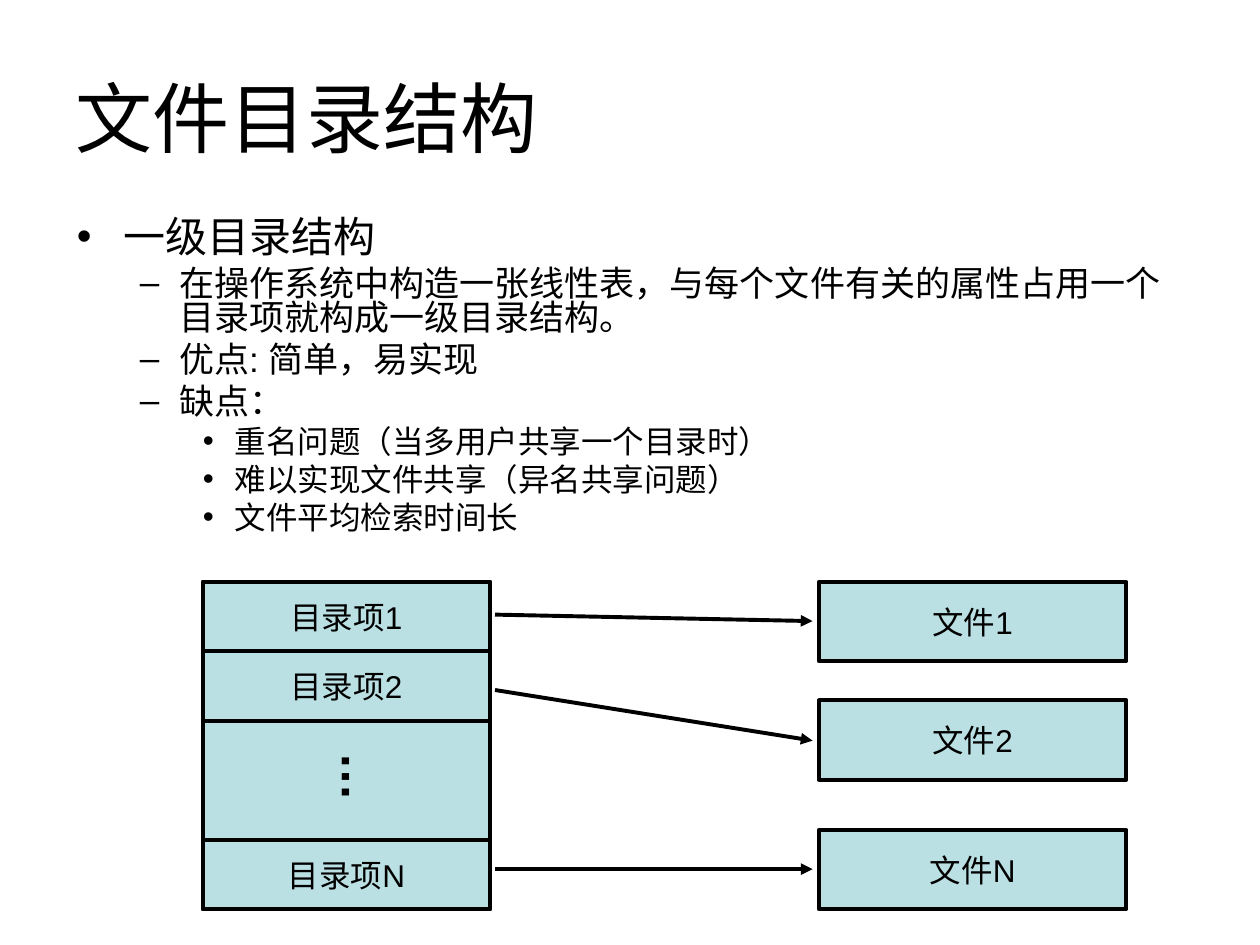
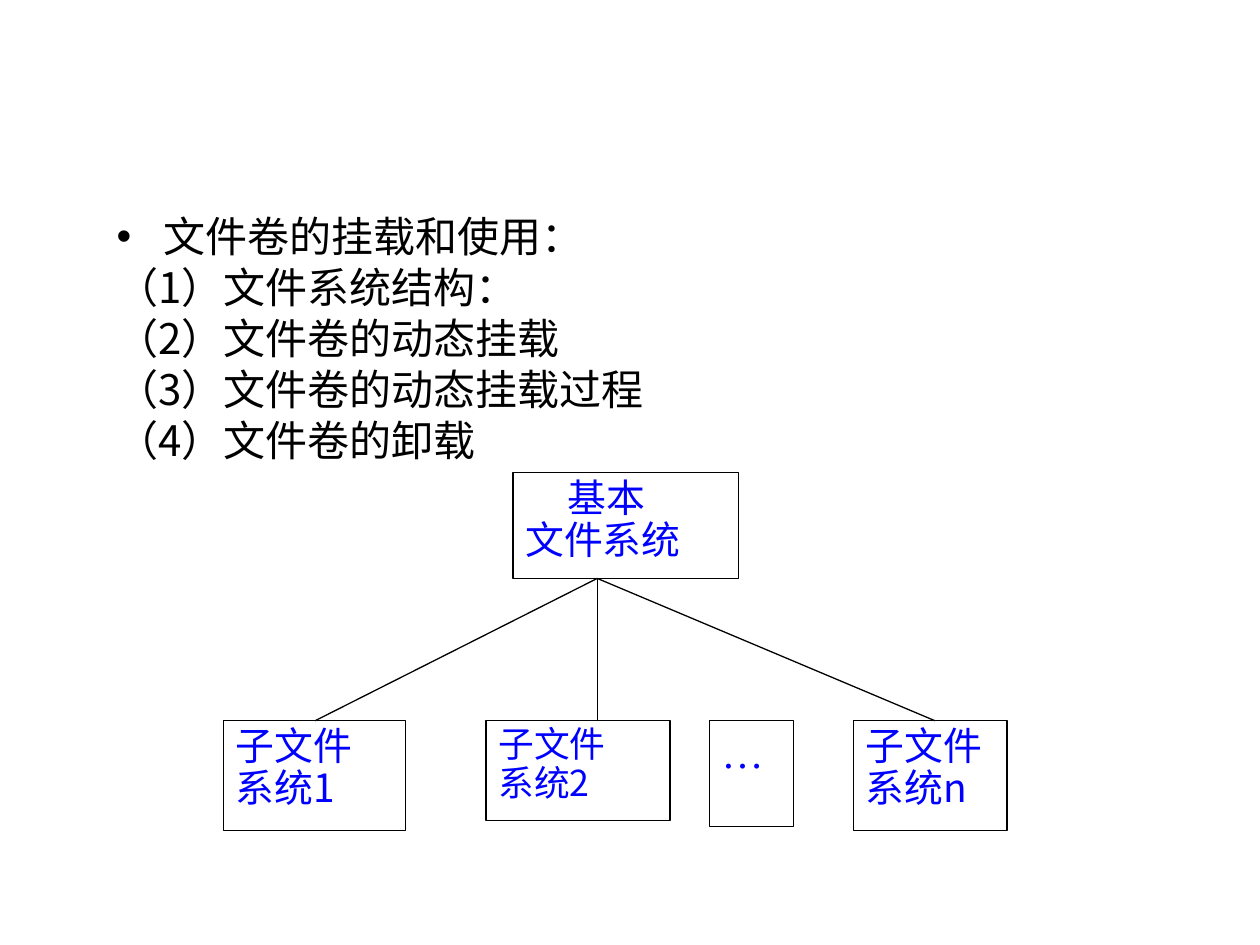
from lxml import etree
from pptx import Presentation
from pptx.dml.color import RGBColor
from pptx.enum.shapes import MSO_CONNECTOR, MSO_SHAPE
from pptx.enum.text import MSO_ANCHOR, MSO_AUTO_SIZE, PP_ALIGN
from pptx.oxml.ns import qn
from pptx.util import Cm, Pt

RECTANGLE = MSO_SHAPE.RECTANGLE
STRAIGHT = MSO_CONNECTOR.STRAIGHT
TOP, MIDDLE = MSO_ANCHOR.TOP, MSO_ANCHOR.MIDDLE
LEFT, CENTER = PP_ALIGN.LEFT, PP_ALIGN.CENTER
GROW = MSO_AUTO_SIZE.SHAPE_TO_FIT_TEXT

COLORS = {"text": "000000", "line": "000000", "entry": "BBE0E3", "paper": "FFFFFF", "node": "0000FF"}
LATIN, CHINESE, NODE_FONT, DOTS_FONT = "Arial", "Noto Sans CJK SC", "Noto Sans CJK JP", "Times New Roman"
LEVELS = [
    {"size": 24, "margin": 0.95, "hanging": 0.95, "bullet": "•", "before": 6},
    {"size": 20, "margin": 2.06, "hanging": 0.79, "bullet": "–", "before": 5},
    {"size": 18, "margin": 3.18, "hanging": 0.64, "bullet": "•", "before": 4.5},
]
NUMBERED = {**LEVELS[0], "bullet": None}


def color(name):
    """Return the named palette colour."""
    return RGBColor.from_string(COLORS[name])


def set_paragraph_layout(paragraph, margin, hanging, bullet):
    """Set the left margin, hanging indent and bullet of a paragraph."""
    properties = paragraph._p.get_or_add_pPr()
    properties.set("marL", str(Cm(margin)))
    properties.set("indent", str(-Cm(hanging)))
    if bullet:
        etree.SubElement(properties, qn("a:buFont")).set("typeface", LATIN)
        etree.SubElement(properties, qn("a:buChar")).set("char", bullet)
    else:
        etree.SubElement(properties, qn("a:buNone"))


def add_text(frame, text, size=18, font=LATIN, east_asian=CHINESE, ink="text", bold=False,
             align=LEFT, spacing=1.0, before=0, margin=0, hanging=0, bullet=None):
    """Write one paragraph, using the empty first paragraph when there is one."""
    first = not frame.paragraphs[0].runs
    paragraph = frame.paragraphs[0] if first else frame.add_paragraph()
    set_paragraph_layout(paragraph, margin, hanging, bullet)
    paragraph.alignment = align
    paragraph.line_spacing = spacing
    paragraph.space_before = Pt(0 if first else before)
    run = paragraph.add_run()
    run.text = text
    run.font.size = Pt(size)
    run.font.name = font
    run.font.bold = bold
    run.font.color.rgb = color(ink)
    etree.SubElement(run._r.get_or_add_rPr(), qn("a:ea")).set("typeface", east_asian)


def add_text_box(slide, box, anchor=TOP):
    """Add a wrapping text box and return its frame."""
    frame = slide.shapes.add_textbox(*map(Cm, box)).text_frame
    frame.word_wrap = True
    frame.vertical_anchor = anchor
    return frame


def add_rectangle(slide, box, fill, weight, anchor=TOP, wrap=True):
    """Add an outlined rectangle and return its text frame."""
    shape = slide.shapes.add_shape(RECTANGLE, *map(Cm, box))
    shape.shadow.inherit = False
    shape.fill.solid()
    shape.fill.fore_color.rgb = color(fill)
    shape.line.color.rgb = color("line")
    shape.line.width = Pt(weight)
    shape.text_frame.word_wrap = wrap
    shape.text_frame.vertical_anchor = anchor
    return shape.text_frame


def add_line(slide, start, end, weight, arrow=False):
    """Draw a straight line, with an arrowhead at its end if asked."""
    connector = slide.shapes.add_connector(STRAIGHT, *map(Cm, (*start, *end)))
    connector.line.color.rgb = color("line")
    connector.line.width = Pt(weight)
    if arrow:
        etree.SubElement(connector.line._get_or_add_ln(), qn("a:tailEnd")).set("type", "triangle")
    etree.SubElement(connector._element.spPr, qn("a:effectLst"))


def add_title(slide, text, box):
    """Add the slide title."""
    add_text(add_text_box(slide, box, MIDDLE), text, size=44)


def add_body(slide, box, items, font=LATIN):
    """Add an outline of (format, text) items."""
    frame = add_text_box(slide, box)
    for style, text in items:
        add_text(frame, text, font=font, spacing=0.8, **style)


def add_labelled_box(slide, box, label):
    """Add a directory entry or file box with a centred label."""
    add_text(add_rectangle(slide, box, "entry", 2.25, MIDDLE, False), label, align=CENTER)


def add_directory_diagram(slide, box):
    """Draw the directory table on the left, the files on the right and the arrows between."""
    left, top, width, height = box
    table_width, entry_height, file_width, file_height = 5.79, 1.4, 6.2, 1.6
    file_left = left + width - file_width
    add_rectangle(slide, (left, top, table_width, height), "entry", 2.25)
    rows = [
        ("1", 0, 0, 0.66, 0.79),
        ("2", entry_height, 2.39, 2.18, 3.2),
        ("N", height - entry_height, height - file_height, 5.79, 5.79),
    ]
    for number, entry_top, file_top, arrow_start, arrow_end in rows:
        add_labelled_box(slide, (left, top + entry_top, table_width, entry_height), f"目录项{number}")
        add_labelled_box(slide, (file_left, top + file_top, file_width, file_height), f"文件{number}")
        add_line(slide, (left + table_width + 0.1, top + arrow_start),
                 (file_left - 0.13, top + arrow_end), 2.25, arrow=True)
    dots = add_text_box(slide, (left + 2.24, top + 3.2, 1.68, 1.8))
    dots.margin_left = dots.margin_right = Cm(0.13)
    dots.margin_top = dots.margin_bottom = Cm(0.25)
    dots.auto_size = GROW
    dots._txBody.bodyPr.set("vert", "eaVert")
    add_text(dots, "…", size=28, bold=True, align=CENTER)


def add_node(slide, box, lines, size=22.2, first_margin=0):
    """Add a file system node of two lines."""
    frame = add_rectangle(slide, box, "paper", 0.75)
    for margin, line in zip((first_margin, 0), lines):
        add_text(frame, line, size=size, font=NODE_FONT, east_asian=NODE_FONT,
                 ink="node", spacing=0.9, margin=margin)


def add_file_system_tree(slide, box):
    """Draw the base file system above its child file systems."""
    left, top, width, height = box
    root_height, child_top = 2.13, top + 5
    junction = (left + 7.54, top + root_height)
    add_node(slide, (left + 5.84, top, 4.55, root_height), ("基本", "文件系统"), first_margin=0.86)
    children = [
        ("1", 0, 3.68, 2.21, 22.2, 1.85),
        ("2", 5.3, 3.71, 2.01, 20.4, 7.54),
        ("n", width - 3.1, 3.1, 2.21, 22.2, 14.35),
    ]
    for number, offset, child_width, child_height, size, line_end in children:
        add_node(slide, (left + offset, child_top, child_width, child_height),
                 ("子文件", f"系统{number}"), size)
        add_line(slide, junction, (left + line_end, child_top), 0.75)
    dots = add_rectangle(slide, (left + 9.8, child_top, 1.7, 2.13), "paper", 0.75)
    add_text(dots, "…", size=24, font=DOTS_FONT, ink="node")


def build_directory_slide(slide):
    """Build the slide on the one-level directory structure."""
    add_title(slide, "文件目录结构", (1.27, 0.76, 22.86, 3.18))
    add_body(slide, (1.3, 4.32, 22.86, 7.01), [
        (LEVELS[0], "一级目录结构"),
        (LEVELS[1], "在操作系统中构造一张线性表，与每个文件有关的属性占用一个目录项就构成一级目录结构。"),
        (LEVELS[1], "优点: 简单，易实现"),
        (LEVELS[1], "缺点："),
        (LEVELS[2], "重名问题（当多用户共享一个目录时）"),
        (LEVELS[2], "难以实现文件共享（异名共享问题）"),
        (LEVELS[2], "文件平均检索时间长"),
    ])
    add_directory_diagram(slide, (4.09, 11.73, 18.62, 6.6))


def build_volume_slide(slide):
    """Build the slide on mounting and using file volumes."""
    topics = ["文件系统结构：", "文件卷的动态挂载", "文件卷的动态挂载过程", "文件卷的卸载"]
    steps = [(NUMBERED, f"（{number}）{topic}") for number, topic in enumerate(topics, 1)]
    add_body(slide, (2.1, 4.32, 21.59, 12.8), [(LEVELS[0], "文件卷的挂载和使用："), *steps], CHINESE)
    add_file_system_tree(slide, (4.5, 9.53, 15.8, 7.21))


def main():
    """Build and save the presentation."""
    presentation = Presentation()
    presentation.slide_width, presentation.slide_height = Cm(25.4), Cm(19.05)
    for build in (build_directory_slide, build_volume_slide):
        build(presentation.slides.add_slide(presentation.slide_layouts[6]))
    presentation.save("out.pptx")


if __name__ == "__main__":
    main()
